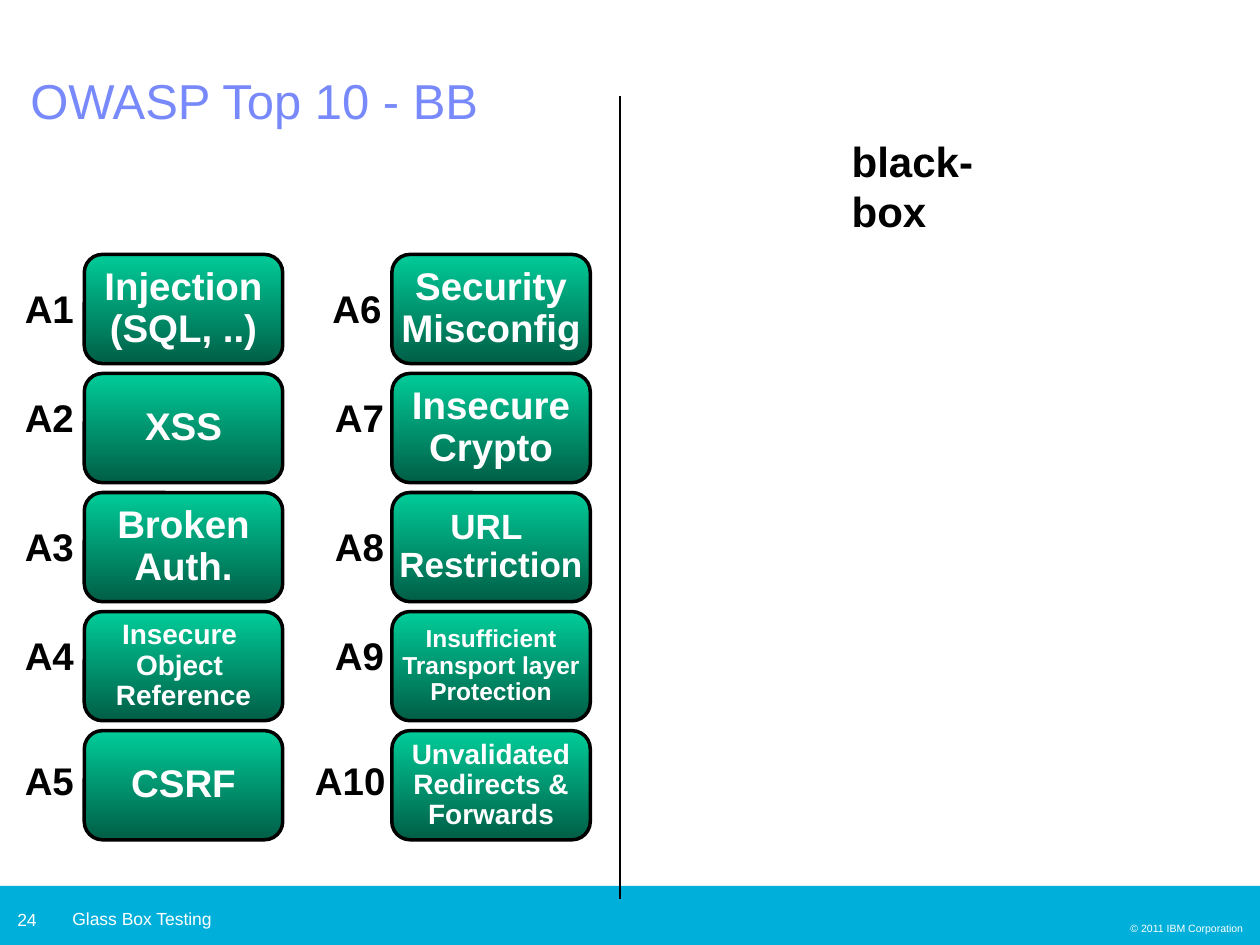
from lxml import etree
from pptx import Presentation
from pptx.dml.color import RGBColor
from pptx.enum.shapes import MSO_CONNECTOR, MSO_SHAPE
from pptx.enum.text import MSO_ANCHOR, MSO_AUTO_SIZE, PP_ALIGN
from pptx.oxml.ns import qn
from pptx.util import Cm, Pt

LEFT, CENTER, RIGHT = PP_ALIGN.LEFT, PP_ALIGN.CENTER, PP_ALIGN.RIGHT
TOP, MIDDLE = MSO_ANCHOR.TOP, MSO_ANCHOR.MIDDLE
GROW, FIXED = MSO_AUTO_SIZE.SHAPE_TO_FIT_TEXT, MSO_AUTO_SIZE.NONE
RECT, ROUNDED = MSO_SHAPE.RECTANGLE, MSO_SHAPE.ROUNDED_RECTANGLE
STRAIGHT = MSO_CONNECTOR.STRAIGHT

COLORS = {"title": "7889FB", "band": "00B0DA", "box_top": "00CC99",
          "box_bottom": "005E46", "dark": "000000", "light": "FFFFFF"}
FONT = "Arial"

TITLE = "OWASP Top 10 - BB"
HEADING = "black-box"
FOOTER = "Glass Box Testing"
PAGE = "24"
COPYRIGHT = "© 2011 IBM Corporation"

RISK_COLUMNS = [
    (1.7, [("A1", 0.25, "Injection\n(SQL, ..)", 22),
           ("A2", 0.25, "XSS", 22),
           ("A3", 0.25, "Broken\nAuth.", 22),
           ("A4", 0.25, "Insecure \nObject \nReference", 16),
           ("A5", 0.25, "CSRF", 22)]),
    (7.9, [("A6", 6.45, "Security\nMisconfig", 22),
           ("A7", 6.5, "Insecure\nCrypto", 22),
           ("A8", 6.5, "URL \nRestriction", 20),
           ("A9", 6.5, "Insufficient\nTransport layer\nProtection", 14),
           ("A10", 6.1, "Unvalidated\nRedirects &\nForwards", 16)]),
]
LABEL_TOPS = [5.72, 7.92, 10.52, 12.72, 15.24]
BOX_TOP, BOX_PITCH, BOX_W, BOX_H = 5.13, 2.4, 4, 2.2
LABEL_W, LABEL_WIDE_W, LABEL_H = 1.5, 1.93, 1.09


def rgb(name):
    return RGBColor.from_string(COLORS[name])


def write(sp, text, size, color, bold=False, align=LEFT, anchor=TOP,
          spacing=1.0, wrap=True, auto_size=FIXED, before=0):
    tf = sp.text_frame
    tf.text = text
    tf.word_wrap = wrap
    tf.auto_size = auto_size
    tf.vertical_anchor = anchor
    tf.margin_left = tf.margin_right = Cm(0.25)
    tf.margin_top = tf.margin_bottom = Cm(0.13)
    for p in tf.paragraphs:
        p.alignment = align
        p.line_spacing = spacing
        p.space_before = Pt(before)
        for r in p.runs:
            r.font.name = FONT
            r.font.size = Pt(size)
            r.font.bold = bold
            r.font.color.rgb = rgb(color)


def add_text(shapes, x, y, w, h, text, size, color, **style):
    sp = shapes.add_textbox(Cm(x), Cm(y), Cm(w), Cm(h))
    write(sp, text, size, color, **style)


def add_risk(s, x, row, label, label_x, text, size):
    shapes = s.shapes.add_group_shape().shapes
    sp = shapes.add_shape(ROUNDED, Cm(x), Cm(BOX_TOP + row * BOX_PITCH),
                          Cm(BOX_W), Cm(BOX_H))
    sp.shadow.inherit = False
    sp.fill.gradient()
    sp.fill.gradient_angle = 270
    for stop, position, color in zip(sp.fill.gradient_stops, (0, 1),
                                     ("box_top", "box_bottom")):
        stop.position = position
        stop.color.rgb = rgb(color)
    sp.line.color.rgb = rgb("dark")
    sp.line.width = Pt(2)
    write(sp, text, size, "light", bold=True, align=CENTER, anchor=MIDDLE,
          spacing=0.9, wrap=False)
    width = LABEL_WIDE_W if len(label) > 2 else LABEL_W
    add_text(shapes, label_x, LABEL_TOPS[row], width, LABEL_H, label, 22, "dark",
             bold=True, spacing=0.9, wrap=False, auto_size=GROW)


def main():
    prs = Presentation()
    prs.slide_width, prs.slide_height = Cm(25.4), Cm(19.05)
    s = prs.slides.add_slide(prs.slide_layouts[5])

    title = s.shapes.title
    title.left, title.top, title.width, title.height = Cm(0.36), Cm(1.42), Cm(23), Cm(1.6)
    write(title, TITLE, 28, "title", spacing=0.9)

    band = s.shapes.add_shape(RECT, 0, Cm(17.86), prs.slide_width, Cm(1.19))
    band.shadow.inherit = False
    band.fill.solid()
    band.fill.fore_color.rgb = rgb("band")
    band.line.fill.background()
    add_text(s.shapes, 1.21, 18.18, 9.65, 0.69, FOOTER, 10, "light", auto_size=GROW)
    add_text(s.shapes, 0.1, 18.2, 1.2, 0.69, PAGE, 10, "light", auto_size=GROW)
    add_text(s.shapes, 21.51, 18.46, 3.8, 0.5, COPYRIGHT, 6, "light", align=RIGHT)

    for x, risks in RISK_COLUMNS:
        for row, risk in enumerate(risks):
            add_risk(s, x, row, *risk)

    divider = s.shapes.add_connector(STRAIGHT, Cm(12.5), Cm(1.93), Cm(12.5), Cm(18.13))
    divider.line.color.rgb = rgb("dark")
    divider.line.width = Pt(0.75)
    etree.SubElement(divider._element.spPr, qn("a:effectLst"))

    add_text(s.shapes, 16.92, 2.6, 4.45, 1.27, HEADING, 24, "dark",
             bold=True, wrap=False, auto_size=GROW)
    prs.save("out.pptx")


if __name__ == "__main__":
    main()
